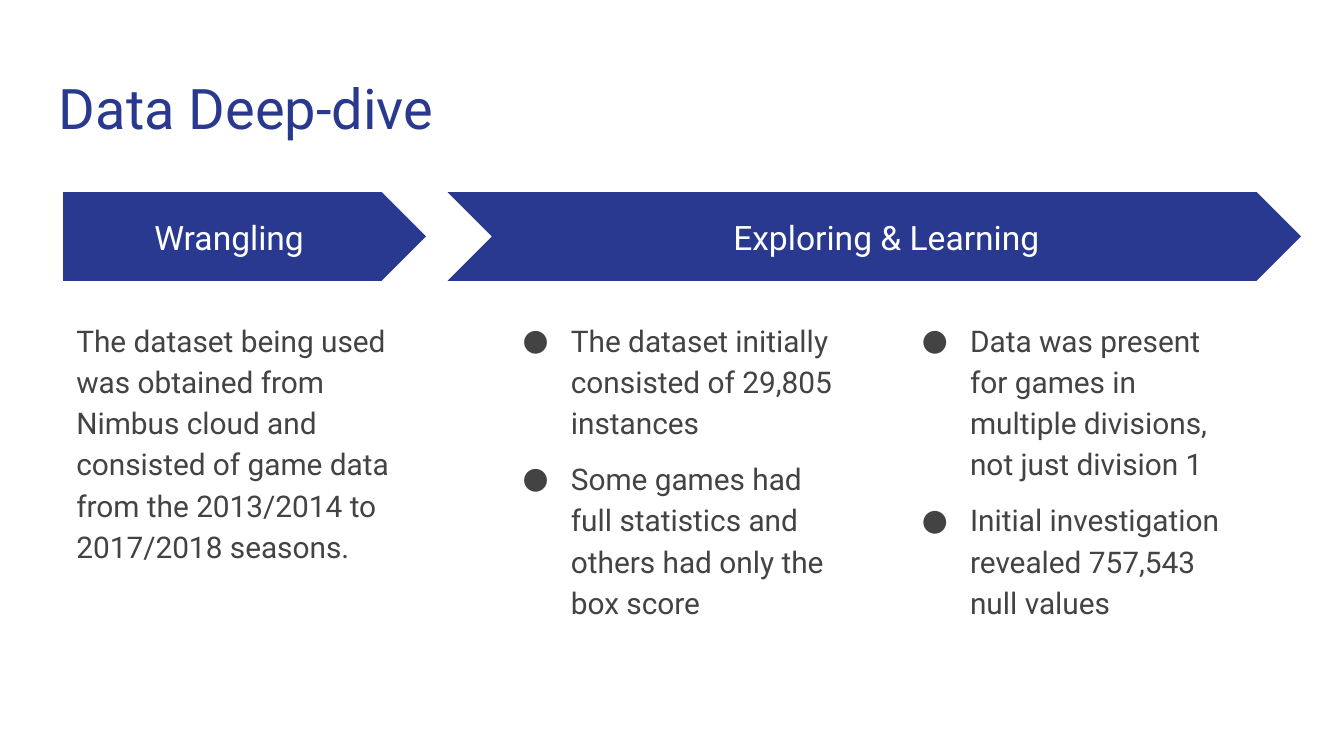
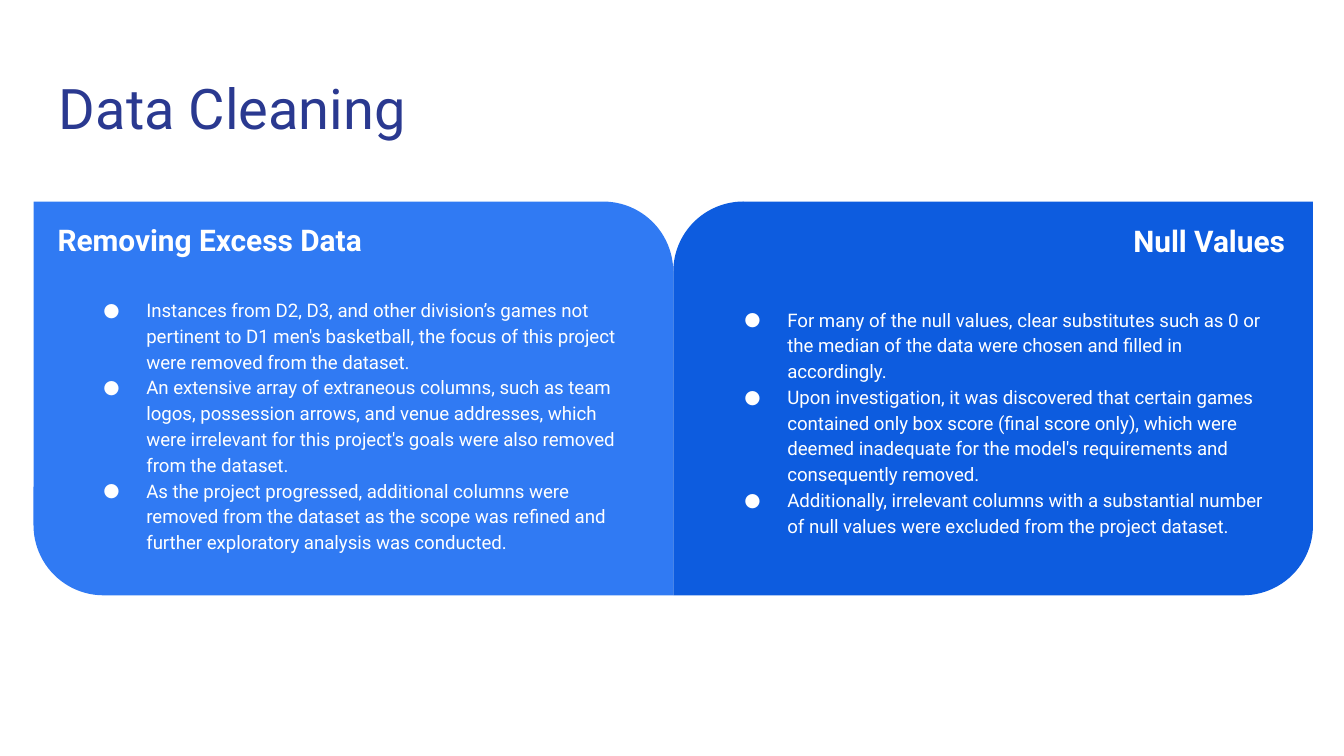
from lxml import etree
from pptx import Presentation
from pptx import util as u
from pptx.dml.color import RGBColor
from pptx.enum import shapes, text
from pptx.oxml.ns import qn

NAVY = RGBColor(0x2A, 0x39, 0x90)
SKY = RGBColor(0x30, 0x7A, 0xF3)
COBALT = RGBColor(0x0D, 0x5C, 0xDF)
GREY = RGBColor(0x43, 0x43, 0x43)
WHITE = RGBColor(0xFF, 0xFF, 0xFF)
FONT = "Roboto"
LEFT, CENTER, RIGHT = text.PP_ALIGN.LEFT, text.PP_ALIGN.CENTER, text.PP_ALIGN.RIGHT
TOP, MIDDLE = text.MSO_ANCHOR.TOP, text.MSO_ANCHOR.MIDDLE

prs = Presentation()
prs.slide_width, prs.slide_height = u.Inches(10), u.Inches(5.625)
COL, ROW = prs.slide_width / 100, prs.slide_height / 100  # 1 % of the slide


def add_text(slide, box, lines, size, color, align=LEFT, anchor=TOP,
             bold=False, spacing=1.0, gap=0, hang=0):
    """Write lines in a box given in columns and rows; hang > 0 adds bullets."""
    left, top, width, height = box
    frame = slide.shapes.add_textbox(int(left * COL), int(top * ROW),
                                     int(width * COL), int(height * ROW)).text_frame
    frame.word_wrap = True
    frame.vertical_anchor = anchor
    frame.margin_left = frame.margin_right = u.Inches(0.1)
    frame.margin_top = frame.margin_bottom = u.Inches(0.1)
    frame.text = "\n".join(lines)
    for number, paragraph in enumerate(frame.paragraphs):
        paragraph.alignment = align
        paragraph.line_spacing = spacing
        paragraph.space_before = u.Pt(gap if number else 0)
        font = paragraph.runs[0].font
        font.name, font.size, font.bold = FONT, u.Pt(size), bold
        font.color.rgb = color
        if hang:
            props = paragraph._p.get_or_add_pPr()
            props.set("marL", str(u.Inches(0.5)))
            props.set("indent", str(-u.Inches(hang)))
            tint = etree.SubElement(props, qn("a:buClr"))
            etree.SubElement(tint, qn("a:srgbClr"), val=str(color))
            etree.SubElement(props, qn("a:buFont"), typeface=FONT)
            etree.SubElement(props, qn("a:buChar"), char="●")


def add_block(slide, kind, box, color, adjustments):
    left, top, width, height = box
    block = slide.shapes.add_shape(kind, int(left * COL), int(top * ROW),
                                   int(width * COL), int(height * ROW))
    for index, value in enumerate(adjustments):
        block.adjustments[index] = value
    block.fill.solid()
    block.fill.fore_color.rgb = color
    block.line.fill.background()
    block.shadow.inherit = False


# Slides and their shared title style
deep_dive, cleaning = [prs.slides.add_slide(prs.slide_layouts[6]) for _ in range(2)]
for slide, title in ((deep_dive, "Data Deep-dive"), (cleaning, "Data Cleaning")):
    add_text(slide, (3.4, 8, 93.2, 11.73), [title], 30, NAVY)

# Data Deep-dive: stage arrows with their labels
stages = [
    ("Wrangling", shapes.MSO_SHAPE.PENTAGON, 4.7, 27, 4.7, 24.7),
    ("Exploring & Learning", shapes.MSO_SHAPE.CHEVRON, 33.3, 63.5, 40, 51.9),
]
for stage, kind, left, width, label_left, label_width in stages:
    add_block(deep_dive, kind, (left, 25.42, width, 11.73), NAVY, [0.5])
    add_text(deep_dive, (label_left, 28.27, label_width, 6.04), [stage],
             18, WHITE, CENTER, MIDDLE)

# Data Deep-dive: one paragraph and two bulleted columns
findings = [
    (4.7, 0, ["The dataset being used was obtained from Nimbus cloud and consisted "
              "of game data from the 2013/2014 to 2017/2018 seasons."]),
    (36.5, 0.36, ["The dataset initially consisted of 29,805 instances",
                  "Some games had full statistics and others had only the box score"]),
    (66.2, 0.36, ["Data was present for games in multiple divisions, not just division 1",
                  "Initial investigation revealed 757,543 null values"]),
]
for left, hang, lines in findings:
    add_text(deep_dive, (left, 40.18, 27, 51.56), lines, 16, GREY,
             spacing=1.15, gap=8, hang=hang)

# Data Cleaning: two mirrored panels that meet at the middle
PANEL_LEFT, PANEL_WIDTH = 2.5, 47.6
panels = [
    ("Removing Excess Data", SKY, [0, 0.178], LEFT, (3.3, 27.56), (4.9, 37.33), [
        "Instances from D2, D3, and other division’s games not pertinent to D1 men's "
        "basketball, the focus of this project were removed from the dataset.",
        "An extensive array of extraneous columns, such as team logos, possession "
        "arrows, and venue addresses, which were irrelevant for this project's goals "
        "were also removed from the dataset.",
        "As the project progressed, additional columns were removed from the dataset "
        "as the scope was refined and further exploratory analysis was conducted."]),
    ("Null Values", COBALT, [0.178, 0], RIGHT, (61.1, 27.73), (52.6, 38.58), [
        "For many of the null values, clear substitutes such as 0 or the median of "
        "the data were chosen and filled in accordingly.",
        "Upon investigation, it was discovered that certain games contained only box "
        "score (final score only), which were deemed inadequate for the model's "
        "requirements and consequently removed.",
        "Additionally, irrelevant columns with a substantial number of null values "
        "were excluded from the project dataset."]),
]
for index, (heading, color, corners, align, heading_at, steps_at, steps) in enumerate(panels):
    add_block(cleaning, shapes.MSO_SHAPE.ROUND_2_DIAG_RECTANGLE,
              (PANEL_LEFT + index * PANEL_WIDTH, 26.67, PANEL_WIDTH, 52.09),
              color, corners)
    add_text(cleaning, (*heading_at, 35.5, 15.29), [heading], 16, WHITE, align, bold=True)
    add_text(cleaning, (*steps_at, 42.5, 40), steps, 10, WHITE, spacing=1.15, hang=0.32)

prs.save("out.pptx")
